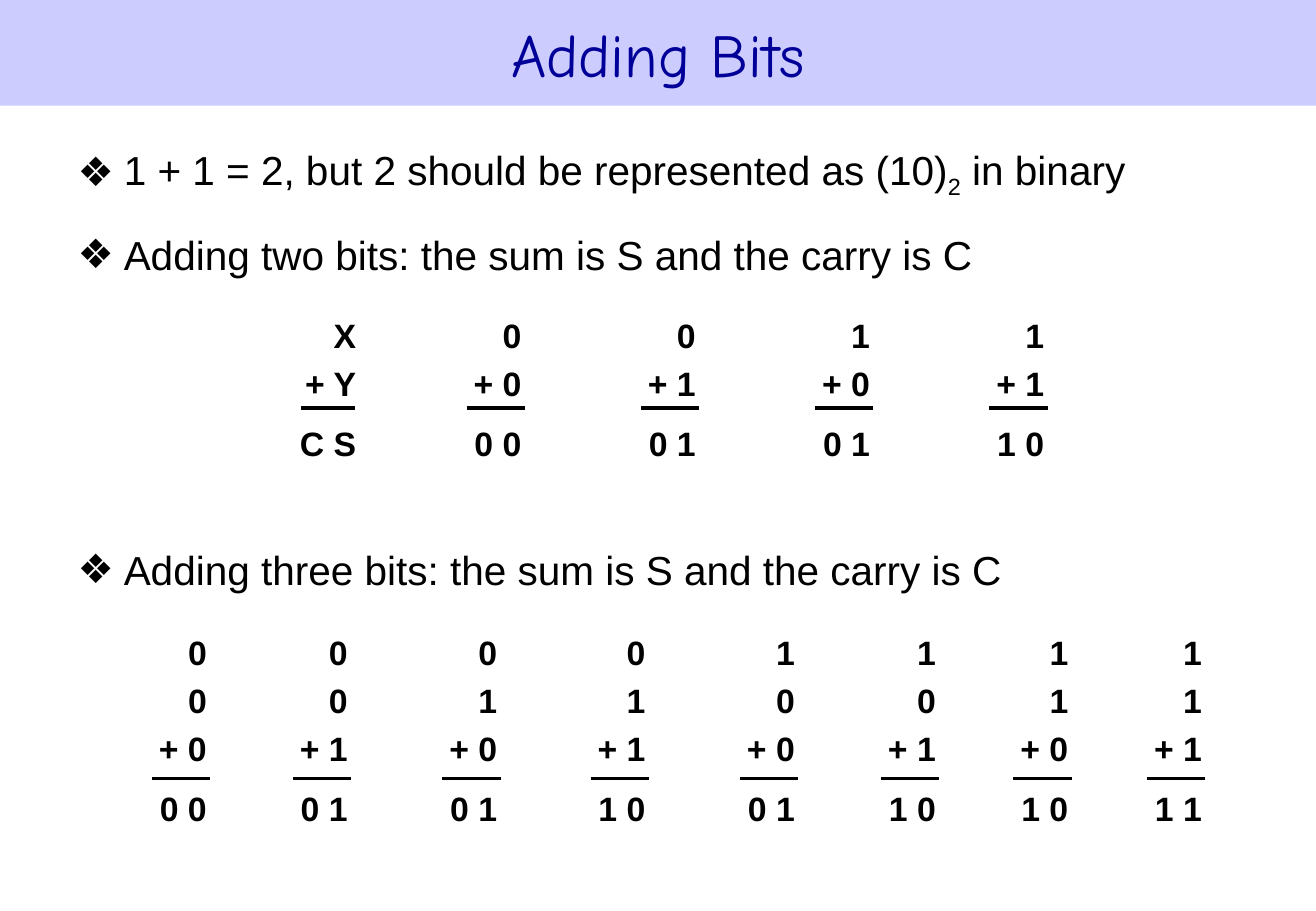
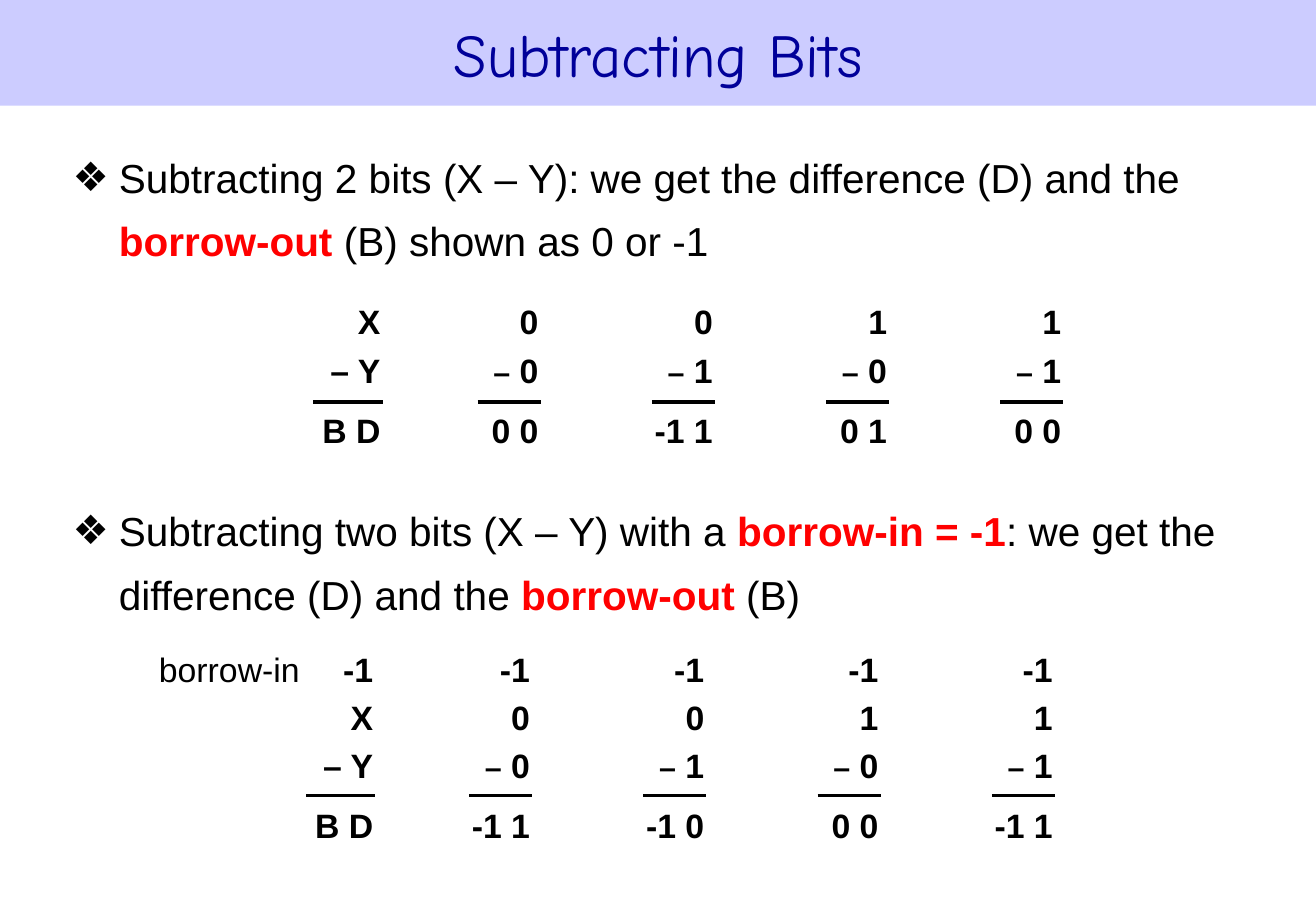
from lxml.etree import SubElement
from pptx import Presentation
from pptx.dml.color import RGBColor
from pptx.enum.shapes import MSO_CONNECTOR, MSO_SHAPE
from pptx.enum.text import MSO_ANCHOR, PP_ALIGN
from pptx.oxml.ns import qn
from pptx.util import Inches, Pt

WIDTH, HEIGHT = 10.83, 7.5
BAND_HEIGHT = 0.87
BAND, NAVY, BLACK, RED = "CCCCFF", "000099", "000000", "FF0000"
TITLE_FONT, BODY_FONT = "Comic Neue", "Arial"
COLUMN_STEP = 1.434
LETTER_WIDTH = 0.82
ROW_GAP, RESULT_GAP = 4.6, 11.5


def columns(letters_right, digits_right):
    return [letters_right] + [digits_right + COLUMN_STEP * i for i in range(4)]


SLIDES = [
    {
        "title": "Adding Bits",
        "left": 0.54, "line_spacing": 1.1, "space_before": 15, "digit_width": 0.68,
        "bullets": [
            (1.1, [
                [("1 + 1 = 2, but 2 should be represented as (10)", ""),
                 ("2", "subscript"), (" in binary", "")],
                [("Adding two bits: the sum is S and the carry is C", "")],
            ]),
            (4.4, [[("Adding three bits: the sum is S and the carry is C", "")]]),
        ],
        "sums": [
            {"top": 2.54, "height": 1.33, "rule": 0.82, "rule_end": 0.07,
             "letter_rule": (0.44, 0.11), "digit_rule": 0.48,
             "rights": columns(3.03, 4.39),
             "columns": ["X|+ Y|C S", "0|+ 0|0 0", "0|+ 1|0 1", "1|+ 0|0 1", "1|+ 1|1 0"]},
            {"top": 5.15, "height": 1.75, "rule": 1.26, "rule_end": 0.07,
             "digit_rule": 0.48,
             "rights": [1.8, 2.96, 4.19, 5.41, 6.64, 7.8, 8.89, 9.99],
             "columns": ["0|0|+ 0|0 0", "0|0|+ 1|0 1", "0|1|+ 0|0 1", "0|1|+ 1|1 0",
                         "1|0|+ 0|0 1", "1|0|+ 1|1 0", "1|1|+ 0|1 0", "1|1|+ 1|1 1"]},
        ],
        "labels": [],
    },
    {
        "title": "Subtracting Bits",
        "left": 0.5, "line_spacing": 1.3, "space_before": 20, "digit_width": 0.75,
        "bullets": [
            (1.09, [
                [("Subtracting 2 bits (X – Y): we get the difference (D) and the ", ""),
                 ("borrow-out ", "key"), ("(B) shown as 0 or -1", "")],
            ]),
            (4.0, [
                [("Subtracting two bits (X – Y) with a ", ""), ("borrow-in = -1", "key"),
                 (": we get the difference (D) and the ", ""), ("borrow-out", "key"),
                 (" (B)", "")],
            ]),
        ],
        "sums": [
            {"top": 2.43, "height": 1.33, "rule": 0.88, "rule_end": 0.08,
             "letter_rule": (0.57, 0.08), "digit_rule": 0.52,
             "rights": columns(3.23, 4.53),
             "columns": ["X|– Y|B D", "0|– 0|0 0", "0|– 1|-1 1", "1|– 0|0 1", "1|– 1|0 0"]},
            {"top": 5.29, "height": 1.75, "rule": 1.26, "rule_end": 0.08,
             "letter_rule": (0.57, 0.08), "digit_rule": 0.52,
             "rights": columns(3.17, 4.46),
             "columns": ["-1|X|– Y|B D", "-1|0|– 0|-1 1", "-1|0|– 1|-1 0",
                         "-1|1|– 0|0 0", "-1|1|– 1|-1 1"]},
        ],
        "labels": [("borrow-in", 1.21, 5.29, 1.37, 0.44)],
    },
]


def color(value):
    return RGBColor.from_string(value)


def set_font(font, size, value=BLACK, name=BODY_FONT, bold=False):
    font.name, font.size, font.bold = name, Pt(size), bold
    font.color.rgb = color(value)


def add_text_box(shapes, left, top, width, height):
    box = shapes.add_textbox(Inches(left), Inches(top), Inches(width), Inches(height))
    box.text_frame.word_wrap = True
    return box.text_frame


def next_paragraph(frame, index):
    return frame.add_paragraph() if index else frame.paragraphs[0]


def add_title(slide, text):
    band = slide.shapes.add_shape(MSO_SHAPE.RECTANGLE, 0, 0, Inches(WIDTH), Inches(BAND_HEIGHT))
    band.shadow.inherit = False
    band.fill.solid()
    band.fill.fore_color.rgb = color(BAND)
    band.line.fill.background()
    band.text_frame.vertical_anchor = MSO_ANCHOR.MIDDLE
    paragraph = band.text_frame.paragraphs[0]
    paragraph.text = text
    paragraph.alignment = PP_ALIGN.CENTER
    set_font(paragraph.font, 36, NAVY, TITLE_FONT)


def add_bullet_mark(paragraph):
    properties = paragraph._p.get_or_add_pPr()
    properties.set("marL", str(Inches(0.38)))
    properties.set("indent", str(-Inches(0.38)))
    SubElement(properties, qn("a:buFont"), typeface=BODY_FONT)
    SubElement(properties, qn("a:buChar"), char="❖")


def add_bullets(slide, content, top, bullets):
    frame = add_text_box(slide.shapes, content["left"], top, 9.75, 0.65 * len(bullets))
    for index, parts in enumerate(bullets):
        paragraph = next_paragraph(frame, index)
        paragraph.line_spacing = content["line_spacing"]
        paragraph.space_before = Pt(content["space_before"])
        add_bullet_mark(paragraph)
        for text, style in parts:
            run = paragraph.add_run()
            run.text = text
            key = style == "key"
            set_font(run.font, 24, RED if key else BLACK, bold=key)
            if style == "subscript":
                run._r.get_or_add_rPr().set("baseline", "-25000")


def add_rule(shapes, start, end, y):
    rule = shapes.add_connector(
        MSO_CONNECTOR.STRAIGHT, Inches(start), Inches(y), Inches(end), Inches(y))
    rule.line.color.rgb = color(BLACK)
    rule.line.width = Pt(2.25)
    SubElement(rule._element.spPr, qn("a:effectLst"))


def add_sum(slide, sums, right, rows, digit_width):
    letters = "X" in rows
    width = LETTER_WIDTH if letters else digit_width
    shapes = slide.shapes.add_group_shape().shapes
    frame = add_text_box(shapes, right - width, sums["top"], width, sums["height"])
    for index, row in enumerate(rows):
        paragraph = next_paragraph(frame, index)
        paragraph.alignment = PP_ALIGN.RIGHT
        if index:
            paragraph.space_before = Pt(RESULT_GAP if index == len(rows) - 1 else ROW_GAP)
        set_font(paragraph.font, 20, bold=True)
        small_minus = row.startswith("–") and not letters
        for text in ([row[0], row[1:]] if small_minus else [row]):
            run = paragraph.add_run()
            run.text = text
            set_font(run.font, 18 if text == "–" else 20, bold=True)
    length, inset = sums["letter_rule"] if letters else (sums["digit_rule"], sums["rule_end"])
    end = right - inset
    add_rule(shapes, end - length, end, sums["top"] + sums["rule"])


def add_label(slide, text, left, top, width, height):
    paragraph = add_text_box(slide.shapes, left, top, width, height).paragraphs[0]
    paragraph.text = text
    set_font(paragraph.font, 20)


presentation = Presentation()
presentation.slide_width, presentation.slide_height = Inches(WIDTH), Inches(HEIGHT)
for content in SLIDES:
    slide = presentation.slides.add_slide(presentation.slide_layouts[6])
    add_title(slide, content["title"])
    for top, bullets in content["bullets"]:
        add_bullets(slide, content, top, bullets)
    for sums in content["sums"]:
        for right, column in zip(sums["rights"], sums["columns"]):
            add_sum(slide, sums, right, column.split("|"), content["digit_width"])
    for label in content["labels"]:
        add_label(slide, *label)
presentation.save("out.pptx")
